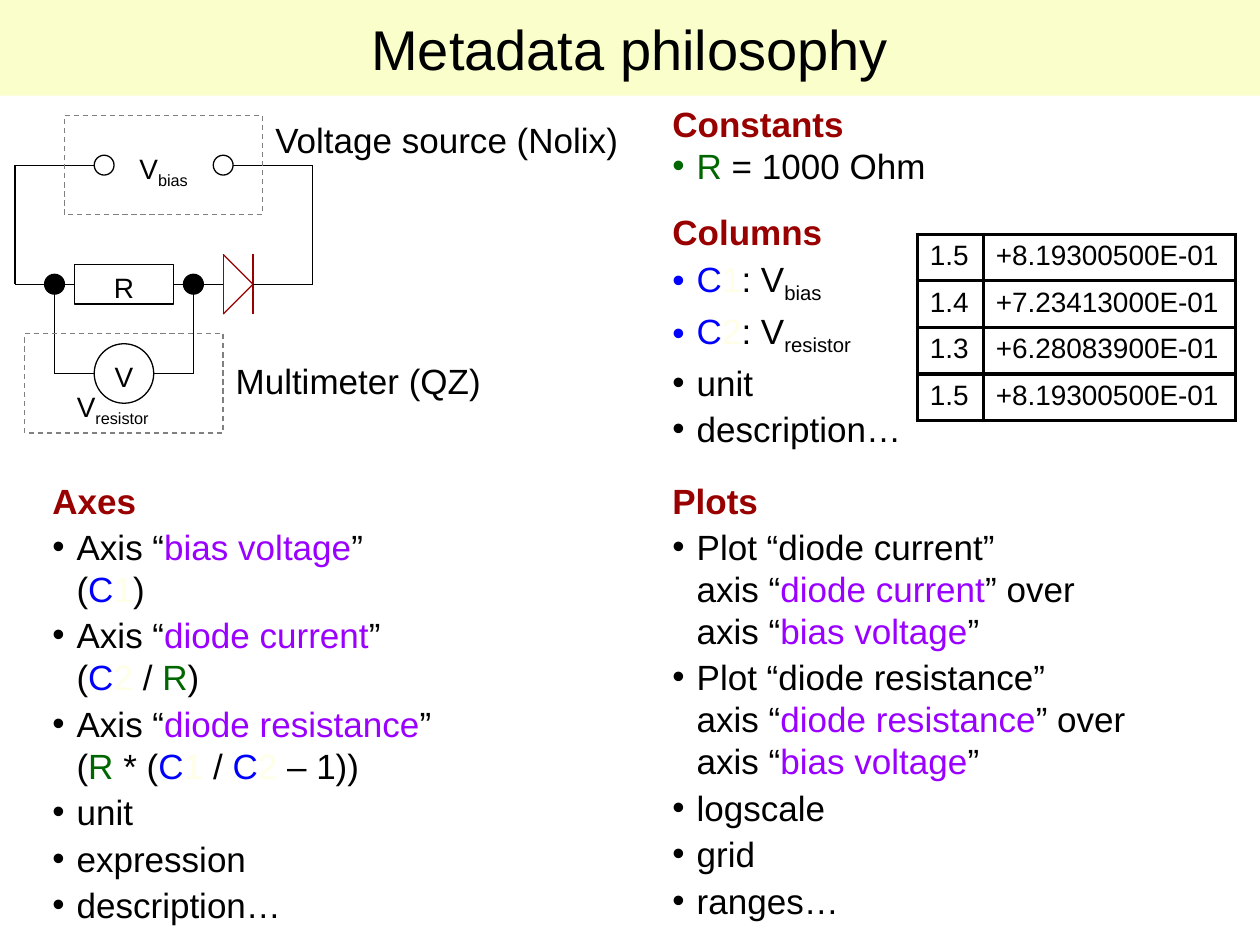
from itertools import pairwise

from lxml.etree import SubElement
from pptx import Presentation
from pptx.dml.color import RGBColor
from pptx.enum.dml import MSO_LINE_DASH_STYLE as Dash
from pptx.enum.shapes import MSO_CONNECTOR as Connector, MSO_SHAPE as Shape
from pptx.enum.text import MSO_ANCHOR as Anchor, MSO_AUTO_SIZE as AutoSize, PP_ALIGN as Align
from pptx.oxml.ns import qn
from pptx.util import Cm, Pt

COLORS = {
    "text": "000000", "heading": "990000", "column": "0000FF", "digit": "FFFEE7",
    "constant": "006600", "axis": "9900FF", "frame": "808080", "banner": "F9FECA",
}
BREAK = ("\n", "text")
QUOTE = ("”", "text")
C = ("C", "column")
R = ("R", "constant")


def plain(text):
    """Return the runs of a line in the text colour."""
    return [(text, "text")]


def axis_item(name, formula):
    """Return the runs of an axis with its formula on a second line."""
    return [("Axis “", "text"), (name, "axis"), QUOTE, BREAK, *formula]


def plot_item(name):
    """Return the runs of a plot of one axis over the bias voltage."""
    return [(f"Plot “{name}”", "text"), BREAK, ("axis “", "text"), (name, "axis"),
            ("” over", "text"), BREAK, ("axis “", "text"), ("bias voltage", "axis"), QUOTE]


CONSTANTS = [[R, (" = 1000 Ohm", "text")]]
COLUMNS = [
    [C, ("1", "digit"), (": V", "text"), ("bias", "subscript")],
    [C, ("2", "digit"), (": V", "text"), ("resistor", "subscript")],
    plain("unit"),
    plain("description…"),
]
AXES = [
    axis_item("bias voltage", [("(", "text"), C, ("1", "digit"), (")", "text")]),
    axis_item("diode current", [("(", "text"), C, ("2 ", "digit"), ("/ ", "text"), R, (")", "text")]),
    axis_item("diode resistance", [("(", "text"), R, (" * (", "text"), C, ("1 ", "digit"),
                                   ("/ ", "text"), C, ("2", "digit"), (" – 1))", "text")]),
    plain("unit"),
    plain("expression"),
    plain("description…"),
]
PLOTS = [plot_item("diode current"), plot_item("diode resistance"),
         plain("logscale"), plain("grid"), plain("ranges…")]
READINGS = [("1.5", "+8.19300500E-01"), ("1.4", "+7.23413000E-01"),
            ("1.3", "+6.28083900E-01"), ("1.5", "+8.19300500E-01")]


def color(name):
    """Return a named colour."""
    return RGBColor.from_string(COLORS[name])


def add_runs(paragraph, runs, size):
    """Add (text, role) runs to a paragraph."""
    for text, role in runs:
        if (text, role) == BREAK:
            paragraph.add_line_break()
            continue
        run = paragraph.add_run()
        run.text = text
        run.font.name, run.font.size = "Arial", Pt(size)
        run.font.bold = role == "heading"
        run.font.color.rgb = color("text" if role == "subscript" else role)
        if role == "subscript":
            run._r.get_or_add_rPr().set("baseline", "-25000")


def place(shape, left, top, width, height):
    """Move and size a shape in centimetres."""
    shape.left, shape.top, shape.width, shape.height = map(Cm, (left, top, width, height))


def add_title(shape, box, text):
    """Fill the title banner."""
    place(shape, *box)
    shape.fill.solid()
    shape.fill.fore_color.rgb = color("banner")
    frame = shape.text_frame
    frame.vertical_anchor, frame.auto_size = Anchor.MIDDLE, AutoSize.NONE
    frame.paragraphs[0].alignment = Align.CENTER
    add_runs(frame.paragraphs[0], plain(text), 32)


def add_bullet(paragraph, color_name):
    """Give a paragraph a hanging coloured bullet."""
    properties = paragraph._p.get_or_add_pPr()
    properties.set("marL", str(Cm(0.49)))
    properties.set("indent", str(-Cm(0.49)))
    bullet_color = SubElement(properties, qn("a:buClr"))
    SubElement(bullet_color, qn("a:srgbClr")).set("val", COLORS[color_name])
    SubElement(properties, qn("a:buFont")).set("typeface", "Arial")
    SubElement(properties, qn("a:buChar")).set("char", "•")


def add_list(shape, box, heading, items, gap=2.5):
    """Fill a body placeholder with a heading and bulleted items."""
    place(shape, *box)
    frame = shape.text_frame
    frame.vertical_anchor, frame.auto_size = Anchor.TOP, AutoSize.NONE
    first = frame.paragraphs[0]
    first.space_before = Pt(0)
    properties = first._p.get_or_add_pPr()
    properties.set("marL", "0")
    properties.set("indent", "0")
    SubElement(properties, qn("a:buNone"))
    add_runs(first, [(heading, "heading")], 20)
    for runs in items:
        paragraph = frame.add_paragraph()
        paragraph.space_before = Pt(gap)
        role = runs[0][1]
        add_bullet(paragraph, role)
        add_runs(paragraph, runs, 20)


def add_wire(shapes, points, color_name="text"):
    """Join successive points with straight lines."""
    for start, end in pairwise(points):
        line = shapes.add_connector(Connector.STRAIGHT, *map(Cm, (*start, *end)))
        line.line.color.rgb = color(color_name)
        line.line.width = Pt(0.75)
        SubElement(line._element.spPr, qn("a:effectLst"))


def add_part(slide, kind, box, color_name="text", filled=False, dashed=False):
    """Draw one outlined circuit part."""
    shape = slide.shapes.add_shape(kind, *map(Cm, box))
    shape.shadow.inherit = False
    shape.line.color.rgb = color(color_name)
    shape.line.width = Pt(0.75)
    if filled:
        shape.fill.solid()
        shape.fill.fore_color.rgb = color(color_name)
    else:
        shape.fill.background()
    if dashed:
        shape.line.dash_style = Dash.DASH


def add_label(slide, box, runs, size=16, alignment=Align.CENTER, wrap=True):
    """Write a circuit label."""
    frame = slide.shapes.add_textbox(*map(Cm, box)).text_frame
    frame.word_wrap = wrap
    frame.paragraphs[0].alignment = alignment
    add_runs(frame.paragraphs[0], runs, size)


def add_circuit(slide, left, top):
    """Draw the diode circuit from its top left corner."""
    def at(x, y, *size):
        return (left + x, top + y, *size)

    diode = slide.shapes.add_group_shape().shapes
    add_wire(diode, [at(4.2, 2.8), at(4.2, 4), at(4.8, 3.4), at(4.2, 2.8)], "heading")
    add_wire(diode, [at(4.8, 2.8), at(4.8, 4)], "heading")
    for points in (
        [(4.8, 3.4), (6, 3.4), (6, 1), (4.4, 1)],
        [(4.2, 3.4), (3.2, 3.4)],
        [(1.2, 3.4), (0, 3.4), (0, 1), (1.6, 1)],
        [(0.8, 3.4), (0.8, 5.2), (1.6, 5.2)],
        [(2.8, 5.2), (3.6, 5.2), (3.6, 3.4)],
    ):
        add_wire(slide.shapes, [at(*point) for point in points])
    add_part(slide, Shape.RECTANGLE, at(1.2, 3, 2, 0.8))
    add_part(slide, Shape.OVAL, at(1.6, 4.6, 1.2, 1.2))
    for terminal_x, node_x in ((1.6, 0.6), (4, 3.4)):
        add_part(slide, Shape.OVAL, at(terminal_x, 0.8, 0.4, 0.4))
        add_part(slide, Shape.OVAL, at(node_x, 3.2, 0.4, 0.4), filled=True)
    for x, y in ((1, 0), (0.2, 4.4)):
        add_part(slide, Shape.RECTANGLE, at(x, y, 4, 2), "frame", dashed=True)
    add_label(slide, at(1, 5.4, 2.4, 1.04), [("V", "text"), ("resistor", "subscript")], alignment=Align.LEFT)
    add_label(slide, at(1.6, 4.8, 1.2, 0.94), plain("V"))
    add_label(slide, at(1.4, 3, 1.6, 0.94), plain("R"))
    add_label(slide, at(2, 0.6, 2, 1.04), [("V", "text"), ("bias", "subscript")])
    add_label(slide, at(5, -0.07, 7.62, 1.12), plain("Voltage source (Nolix)"), 20, Align.LEFT, False)
    add_label(slide, at(4.2, 4.8, 5.46, 1.12), plain("Multimeter (QZ)"), 20, Align.LEFT, False)


def add_readings(slide, left, top, widths, row_height):
    """Add the bordered table of measured values."""
    table = slide.shapes.add_table(len(READINGS), len(widths), *map(
        Cm, (left, top, sum(widths), row_height * len(READINGS)))).table
    table.first_row = table.horz_banding = False
    for column, width in zip(table.columns, widths):
        column.width = Cm(width)
    for row, values in enumerate(READINGS):
        for column, value in enumerate(values):
            cell = table.cell(row, column)
            add_runs(cell.text_frame.paragraphs[0], plain(value), 16)
            properties = cell._tc.get_or_add_tcPr()
            for side in ("a:lnL", "a:lnR", "a:lnT", "a:lnB"):
                border = SubElement(properties, qn(side), w=str(Pt(2)))
                fill = SubElement(border, qn("a:solidFill"))
                SubElement(fill, qn("a:srgbClr")).set("val", COLORS["text"])
            cell.fill.background()


def main():
    """Build and save the slide."""
    presentation = Presentation()
    presentation.slide_width, presentation.slide_height = Cm(25.4), Cm(19.05)
    slide = presentation.slides.add_slide(presentation.slide_layouts[4])
    title, constants, columns, axes, plots = slide.placeholders
    add_title(title, (0, 0, 25.4, 1.93), "Metadata philosophy")
    add_circuit(slide, 0.3, 2.33)
    add_readings(slide, 18.49, 4.72, (1.33, 5.08), 0.94)
    add_list(constants, (13.3, 1.93, 7.06, 1.96), "Constants", CONSTANTS, gap=0)
    add_list(columns, (13.3, 4.12, 6.6, 5.08), "Columns", COLUMNS)
    add_list(axes, (0.8, 9.53, 11.9, 9.37), "Axes", AXES)
    add_list(plots, (13.3, 9.53, 12.1, 9.17), "Plots", PLOTS)
    presentation.save("out.pptx")


if __name__ == "__main__":
    main()
